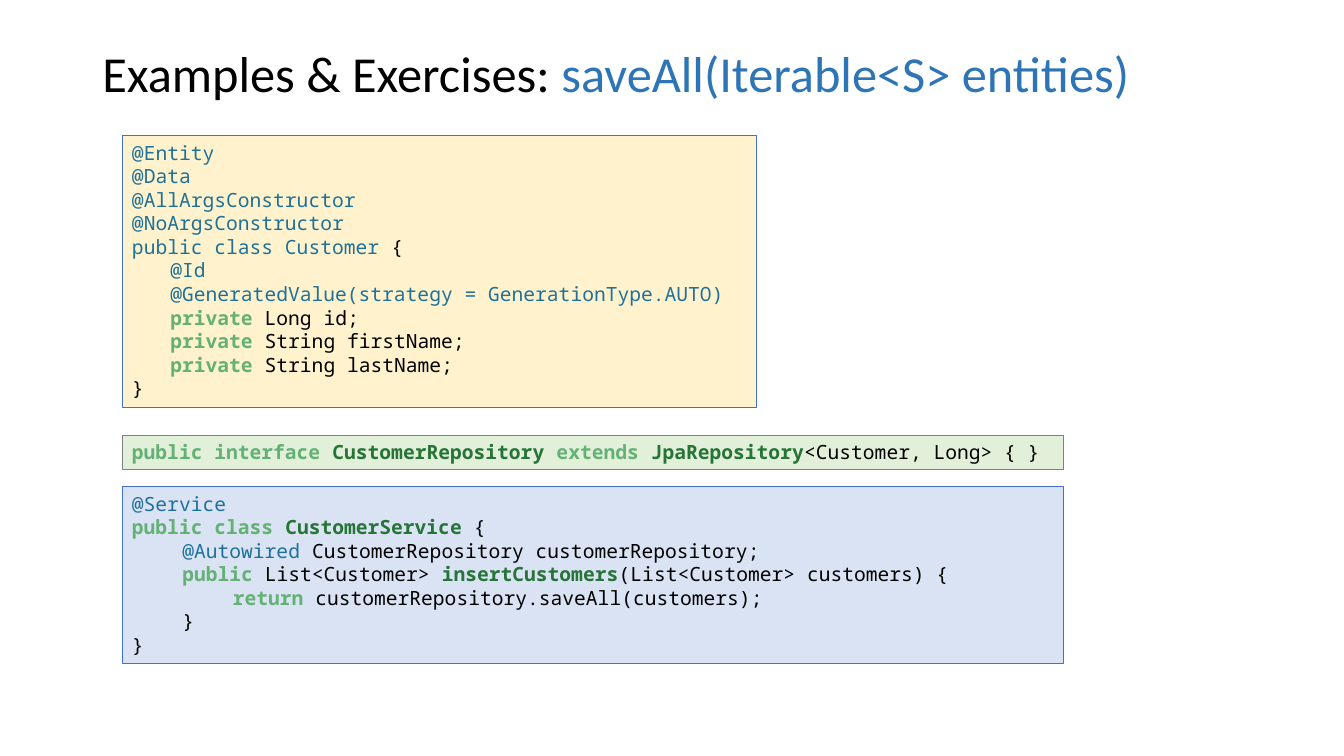
from pptx import Presentation
from pptx.dml.color import RGBColor
from pptx.enum.shapes import MSO_SHAPE as Shape
from pptx.enum.text import MSO_ANCHOR as Anchor, PP_ALIGN as Align
from pptx.util import Pt

BLACK = RGBColor(0x00, 0x00, 0x00)
TITLE_BLUE = RGBColor(0x2E, 0x75, 0xB6)
TEAL = RGBColor(0x1F, 0x71, 0x99)
LIGHT_GREEN = RGBColor(0x63, 0xB1, 0x75)
DARK_GREEN = RGBColor(0x26, 0x74, 0x38)
CREAM = RGBColor(0xFF, 0xF2, 0xCC)
PALE_GREEN = RGBColor(0xE2, 0xF0, 0xD9)
PALE_BLUE = RGBColor(0xDA, 0xE3, 0xF3)
BORDER_BLUE = RGBColor(0x44, 0x72, 0xC4)
BORDER_GRAY = RGBColor(0x80, 0x80, 0x80)

# Code styles: colour and bold
PLAIN = (BLACK, False)
MARK = (TEAL, False)
KEYWORD = (LIGHT_GREEN, True)
NAME = (DARK_GREEN, True)

# Each code line: indent level, then its styled spans
ENTITY_CODE = [
    (0, [("@Entity", MARK)]),
    (0, [("@Data", MARK)]),
    (0, [("@AllArgsConstructor", MARK)]),
    (0, [("@NoArgsConstructor", MARK)]),
    (0, [("public class Customer ", MARK), ("{", PLAIN)]),
    (1, [("@Id", MARK)]),
    (1, [("@GeneratedValue(strategy = GenerationType.AUTO)", MARK)]),
    (1, [("private", KEYWORD), (" Long id;", PLAIN)]),
    (1, [("private", KEYWORD), (" String firstName;", PLAIN)]),
    (1, [("private", KEYWORD), (" String lastName;", PLAIN)]),
    (0, [("}", PLAIN)]),
]
REPOSITORY_CODE = [
    (0, [("public interface ", KEYWORD), ("CustomerRepository ", NAME),
         ("extends ", KEYWORD), ("JpaRepository", NAME),
         ("<Customer, Long> { }", PLAIN)]),
]
SERVICE_CODE = [
    (0, [("@Service", MARK)]),
    (0, [("public class ", KEYWORD), ("CustomerService", NAME), (" {", PLAIN)]),
    (1, [("@Autowired ", MARK),
         ("CustomerRepository customerRepository;", PLAIN)]),
    (1, [("public", KEYWORD), (" List<Customer> ", PLAIN),
         ("insertCustomers", NAME), ("(List<Customer> customers) {", PLAIN)]),
    (2, [("return ", KEYWORD),
         ("customerRepository.saveAll(customers);", PLAIN)]),
    (1, [("}", PLAIN)]),
    (0, [("}", PLAIN)]),
]


def add_spans(para, spans):
    for text, (color, bold) in spans:
        span = para.add_run()
        span.text = text
        span.font.color.rgb = color
        span.font.bold = bold


def add_title(page, left, top, width, height):
    box = page.shapes.add_textbox(Pt(left), Pt(top), Pt(width), Pt(height))
    frame = box.text_frame
    frame.word_wrap = True
    frame.vertical_anchor = Anchor.MIDDLE
    para = frame.paragraphs[0]
    para.line_spacing = 0.9
    para.font.name = "Calibri"
    para.font.size = Pt(36)
    add_spans(para, [("Examples & Exercises: ", PLAIN),
                     ("saveAll(Iterable<S> entities)", (TITLE_BLUE, False))])


def add_code_box(page, left, top, width, height, fill, border, code, indent=36):
    box = page.shapes.add_shape(Shape.RECTANGLE, Pt(left), Pt(top),
                                Pt(width), Pt(height))
    box.shadow.inherit = False
    box.fill.solid()
    box.fill.fore_color.rgb = fill
    box.line.color.rgb = border
    box.line.width = Pt(0.75)
    frame = box.text_frame
    frame.word_wrap = True
    frame.vertical_anchor = Anchor.TOP
    for number, (level, spans) in enumerate(code):
        para = frame.add_paragraph() if number else frame.paragraphs[0]
        para.alignment = Align.LEFT
        para.font.name = "Noto Sans Mono"
        para.font.size = Pt(14)
        # Left margin steps by indent level
        if level:
            props = para._p.get_or_add_pPr()
            props.set("marL", str(Pt(indent * level)))
            props.set("indent", "0")
        add_spans(para, spans)


def main():
    deck = Presentation()
    deck.slide_width, deck.slide_height = Pt(960), Pt(540)
    page = deck.slides.add_slide(deck.slide_layouts[6])

    add_title(page, 66, 28.8, 828, 51)
    # Entity, repository and service, from top to bottom
    add_code_box(page, 87.2, 97, 453, 194, CREAM, BORDER_BLUE,
                 ENTITY_CODE, indent=27.4)
    add_code_box(page, 87.2, 311, 672.5, 24.3, PALE_GREEN, BORDER_GRAY,
                 REPOSITORY_CODE)
    add_code_box(page, 87.2, 347.6, 672.5, 126.2, PALE_BLUE, BORDER_BLUE,
                 SERVICE_CODE)
    deck.save("out.pptx")


if __name__ == "__main__":
    main()
